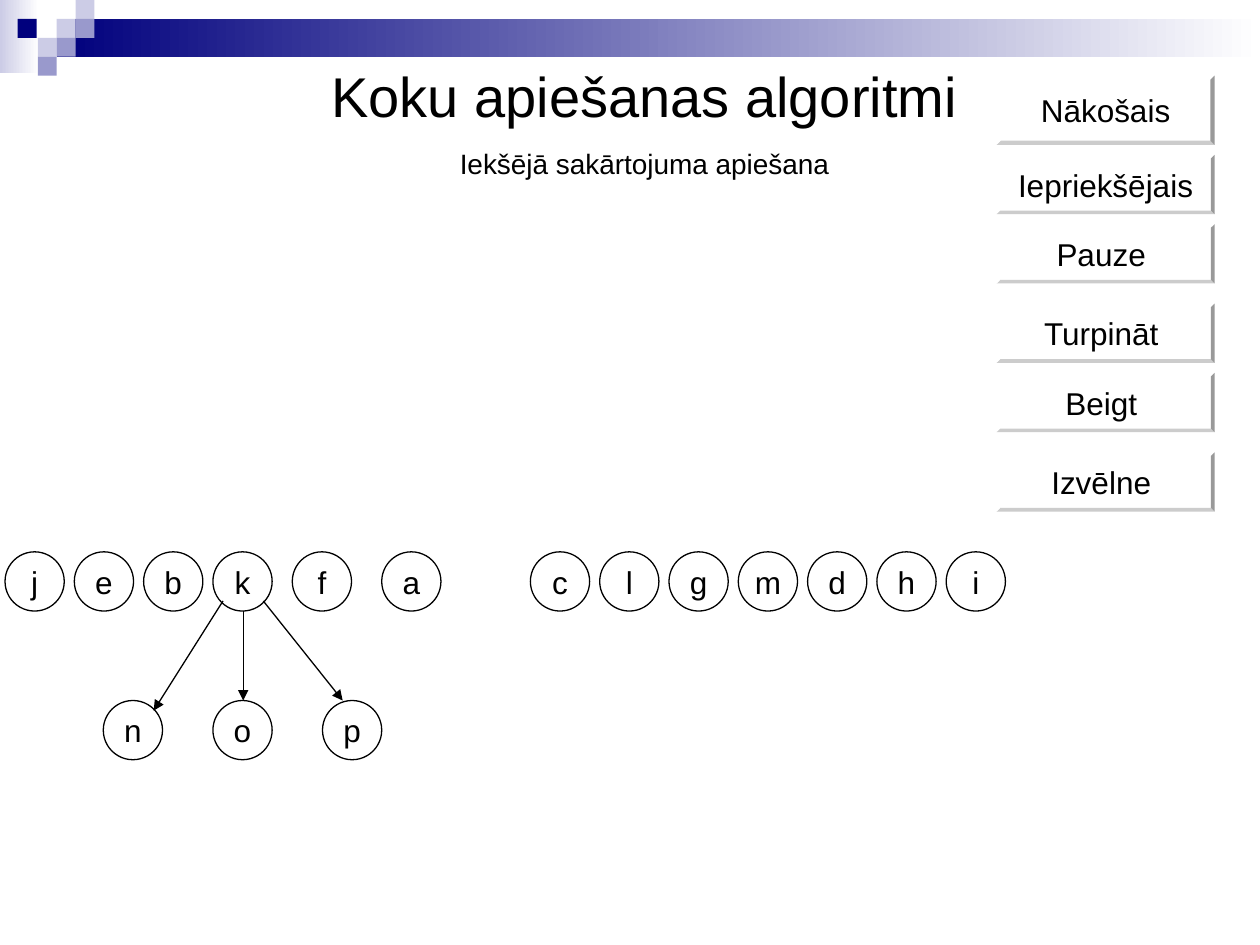
import dataclasses

import lxml.etree
import pptx
import pptx.dml.color
import pptx.enum.shapes
import pptx.enum.text
import pptx.oxml.ns
import pptx.util

Inches = pptx.util.Inches
Pt = pptx.util.Pt
Shapes = pptx.enum.shapes.MSO_SHAPE
Anchor = pptx.enum.text.MSO_ANCHOR
CENTER = pptx.enum.text.PP_ALIGN.CENTER

FONT = "Arial"
BLACK, WHITE = "000000", "FFFFFF"
NAVY, LAVENDER, LILAC = "00007D", "9999CC", "CCCCE6"
NODE_SIZE = 0.47
BUTTON_LEFT, BUTTON_WIDTH = 7.91, 1.73


@dataclasses.dataclass
class Band:
    left: float
    top: float
    width: float
    height: float
    start: str
    end: str


@dataclasses.dataclass
class Square:
    left: float
    top: float
    color: str


@dataclasses.dataclass
class Button:
    label: str
    top: float
    height: float = 0.47


@dataclasses.dataclass
class NodeRun:
    letters: str
    left: float
    top: float = 4.38
    pitch: float = 0.55


@dataclasses.dataclass
class Arrow:
    start: tuple[float, float]
    end: tuple[float, float]


BANDS = [
    Band(0, 0, 0.31, 0.58, LILAC, WHITE),
    Band(0.45, 0.15, 9.55, 0.3, NAVY, WHITE),
]
SQUARES = [
    Square(0.45, 0.15, LILAC),
    Square(0.6, 0, LILAC),
    Square(0.6, 0.15, LAVENDER),
    Square(0.3, 0.3, LILAC),
    Square(0.14, 0.15, NAVY),
    Square(0.45, 0.3, LAVENDER),
    Square(0.3, 0.45, LAVENDER),
]
BUTTONS = [
    Button("Nākošais", 0.6, 0.55),
    Button("Iepriekšējais", 1.23),
    Button("Pauze ", 1.78),
    Button("Turpināt ", 2.41),
    Button("Beigt ", 2.96),
    Button("Izvēlne ", 3.59),
]
NODE_RUNS = [
    NodeRun("jebk", 0.04),
    NodeRun("f", 2.32),
    NodeRun("a", 3.03),
    NodeRun("clgmdhi", 4.21),
    NodeRun("nop", 0.82, top=5.56, pitch=0.87),
]
ARROWS = [
    Arrow((1.77, 4.77), (1.22, 5.64)),
    Arrow((1.93, 4.85), (1.93, 5.56)),
    Arrow((2.09, 4.77), (2.72, 5.56)),
]


def rgb(color: str) -> pptx.dml.color.RGBColor:
    return pptx.dml.color.RGBColor.from_string(color)


def format_paragraph(paragraph, size: float) -> None:
    paragraph.alignment = CENTER
    for run in paragraph.runs:
        run.font.name = FONT
        run.font.size = Pt(size)
        run.font.color.rgb = rgb(BLACK)


def add_plain_shape(slide, kind, left: float, top: float, width: float, height: float):
    shape = slide.shapes.add_shape(
        kind, Inches(left), Inches(top), Inches(width), Inches(height))
    shape.shadow.inherit = False
    shape.line.fill.background()
    return shape


def fill_solid(shape, color: str) -> None:
    shape.fill.solid()
    shape.fill.fore_color.rgb = rgb(color)


def set_label(shape, label: str) -> None:
    text_frame = shape.text_frame
    text_frame.text = label
    text_frame.word_wrap = False
    text_frame.vertical_anchor = Anchor.MIDDLE
    format_paragraph(text_frame.paragraphs[0], 18)


def add_band(slide, band: Band) -> None:
    shape = add_plain_shape(
        slide, Shapes.RECTANGLE, band.left, band.top, band.width, band.height)
    shape.fill.gradient()
    shape.fill.gradient_angle = 0
    for stop, color in zip(shape.fill.gradient_stops, (band.start, band.end)):
        stop.color.rgb = rgb(color)


def add_square(slide, square: Square) -> None:
    shape = add_plain_shape(
        slide, Shapes.RECTANGLE, square.left, square.top, 0.15, 0.15)
    fill_solid(shape, square.color)


def add_title(slide) -> None:
    title = slide.shapes.title
    title.left, title.top = Inches(1.77), Inches(0.44)
    title.width, title.height = Inches(6.69), Inches(1.04)
    text_frame = title.text_frame
    text_frame.auto_size = pptx.enum.text.MSO_AUTO_SIZE.NONE
    text_frame.vertical_anchor = Anchor.BOTTOM
    text_frame.text = "Koku apiešanas algoritmi"
    format_paragraph(text_frame.paragraphs[0], 32)
    subtitle = text_frame.add_paragraph()
    subtitle.text = "Iekšējā sakārtojuma apiešana"
    subtitle.space_before = Pt(10)
    format_paragraph(subtitle, 16)


def add_button(slide, button: Button) -> None:
    shape = add_plain_shape(
        slide, Shapes.BEVEL, BUTTON_LEFT, button.top, BUTTON_WIDTH, button.height)
    shape.adjustments[0] = 0.06
    fill_solid(shape, WHITE)
    set_label(shape, button.label)


def add_nodes(slide, run: NodeRun) -> None:
    for index, letter in enumerate(run.letters):
        node = add_plain_shape(
            slide, Shapes.OVAL, run.left + index * run.pitch, run.top,
            NODE_SIZE, NODE_SIZE)
        fill_solid(node, WHITE)
        node.line.color.rgb = rgb(BLACK)
        node.line.width = Pt(0.75)
        set_label(node, letter)


def add_arrow(slide, arrow: Arrow) -> None:
    connector = slide.shapes.add_connector(
        pptx.enum.shapes.MSO_CONNECTOR.STRAIGHT,
        *map(Inches, arrow.start + arrow.end))
    connector.line.color.rgb = rgb(BLACK)
    connector.line.width = Pt(0.75)
    qn = pptx.oxml.ns.qn
    line = connector.line._get_or_add_ln()
    lxml.etree.SubElement(line, qn("a:tailEnd"), type="triangle")
    lxml.etree.SubElement(connector._element.spPr, qn("a:effectLst"))


def main() -> None:
    presentation = pptx.Presentation()
    presentation.slide_width = Inches(10)
    presentation.slide_height = Inches(7.5)
    slide = presentation.slides.add_slide(presentation.slide_layouts[5])

    # Header decoration
    for band in BANDS:
        add_band(slide, band)
    for square in SQUARES:
        add_square(slide, square)

    # Title and navigation buttons
    add_title(slide)
    for button in BUTTONS:
        add_button(slide, button)

    # Tree nodes and their links
    for run in NODE_RUNS:
        add_nodes(slide, run)
    for arrow in ARROWS:
        add_arrow(slide, arrow)

    presentation.save("out.pptx")


if __name__ == "__main__":
    main()
